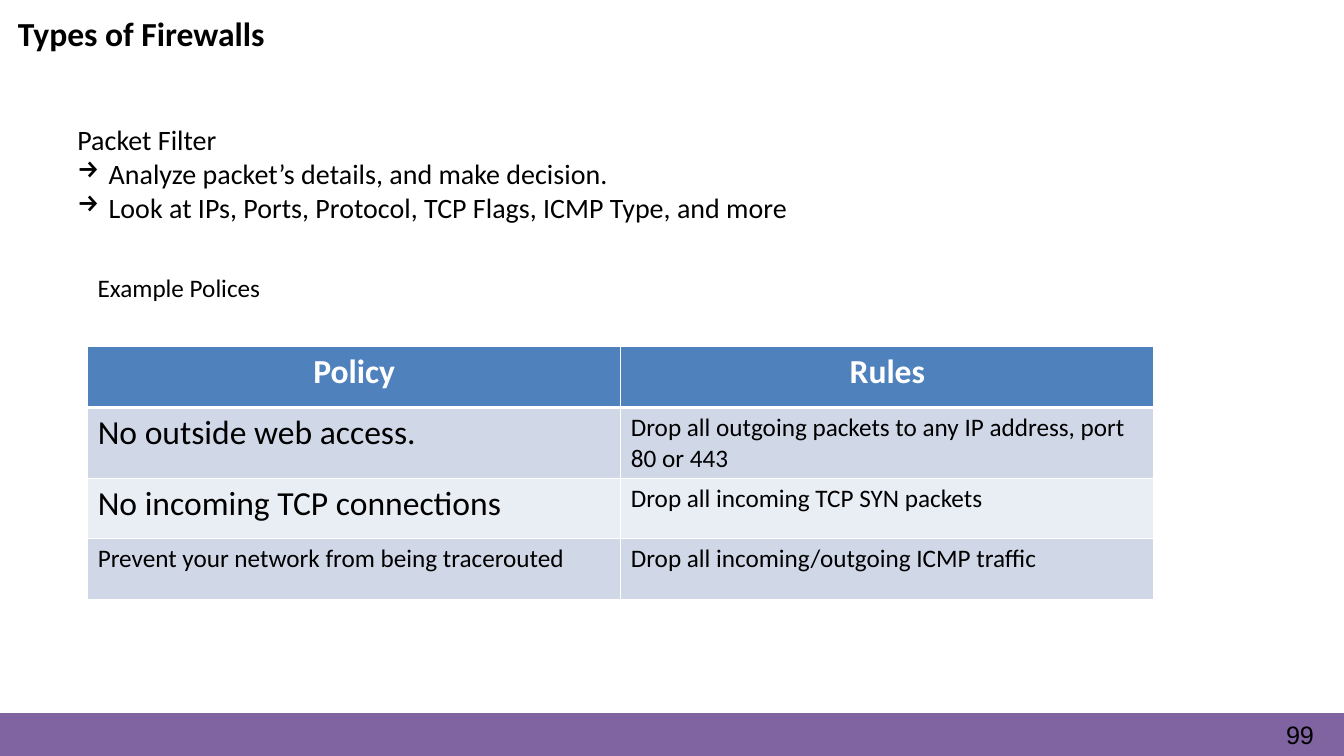
from lxml import etree
from pptx import Presentation
from pptx import util as u
from pptx.dml import color
from pptx.enum import shapes, text
from pptx.oxml import ns

BLACK, WHITE, PURPLE, BLUE = "000000", "FFFFFF", "8063A1", "4F81BD"
BANDS = ["D0D8E8", "E9EDF4"]


def rgb(value):
    return color.RGBColor.from_string(value)


class Deck:
    def __init__(self, width, height, font="Calibri"):
        self.prs = Presentation()
        self.prs.slide_width, self.prs.slide_height = u.Cm(width), u.Cm(height)
        self.font = font
        self.s = self.prs.slides.add_slide(self.prs.slide_layouts[6])

    def run(self, p, words, size, ink=BLACK, bold=False, font=None):
        r = p.add_run()
        r.text = words
        r.font.name = font or self.font
        r.font.size = u.Pt(size)
        r.font.bold = bold
        r.font.color.rgb = rgb(ink)
        return r

    def bar(self, box, fill):
        sp = self.s.shapes.add_shape(shapes.MSO_SHAPE.RECTANGLE, *map(u.Cm, box))
        sp.shadow.inherit = False
        sp.fill.solid()
        sp.fill.fore_color.rgb = rgb(fill)
        sp.line.color.rgb = rgb(fill)
        sp.line.width = u.Pt(1)

    def textbox(self, box):
        tf = self.s.shapes.add_textbox(*map(u.Cm, box)).text_frame
        tf.word_wrap = True
        return tf

    def label(self, box, words, size, bold=False):
        self.run(self.textbox(box).paragraphs[0], words, size, bold=bold)

    def bullet_list(self, box, heading, items, size, mark):
        tf = self.textbox(box)
        self.run(tf.paragraphs[0], heading, size)
        for item in items:
            p = tf.add_paragraph()
            pPr = p._p.get_or_add_pPr()
            pPr.set("marL", str(u.Cm(0.79)))
            pPr.set("indent", str(-u.Cm(0.79)))
            etree.SubElement(pPr, ns.qn("a:buChar"), char=mark)
            self.run(p, item, size)

    def page_number(self, box, number):
        tf = self.textbox(box)
        tf.margin_left = tf.margin_top = tf.margin_right = tf.margin_bottom = 0
        p = tf.paragraphs[0]
        p._p.get_or_add_pPr().set("marL", str(u.Cm(0.46)))
        p.line_spacing = u.Pt(20.9)
        r = self.run(p, number, 18, font="Arial")
        r.font._element.set("spc", "-10")

    def border(self, cell, side, width):
        ln = etree.SubElement(cell._tc.get_or_add_tcPr(), ns.qn("a:ln" + side),
                              w=str(u.Pt(width)))
        fill = etree.SubElement(ln, ns.qn("a:solidFill"))
        etree.SubElement(fill, ns.qn("a:srgbClr"), val=WHITE)

    def table(self, box, heights, rows):
        frame = self.s.shapes.add_table(len(rows), len(rows[0]), *map(u.Cm, box))
        table = frame.table
        for i, row in enumerate(rows):
            table.rows[i].height = u.Cm(heights[i])
            header = i == 0
            for j, (words, size) in enumerate(row):
                cell = table.cell(i, j)
                # The rule under the header is heavier than the others
                for side in "LRTB":
                    heavy = (i, side) in [(0, "B"), (1, "T")]
                    self.border(cell, side, 3 if heavy else 1)
                cell.fill.solid()
                cell.fill.fore_color.rgb = rgb(BLUE if header else BANDS[(i - 1) % 2])
                p = cell.text_frame.paragraphs[0]
                if header:
                    p.alignment = text.PP_ALIGN.CENTER
                self.run(p, words, size, WHITE if header else BLACK, header)


def main():
    deck = Deck(33.87, 19.05)

    # Footer
    deck.bar((0, 17.98, 33.87, 1.07), PURPLE)
    deck.page_number((31.95, 18.16, 1.8, 0.79), "99")

    # Title and explanation
    deck.label((0.2, 0.2, 7.92, 1.27), "Types of Firewalls", 24, bold=True)
    deck.bullet_list((1.7, 2.97, 21.06, 2.82), "Packet Filter", [
        "Analyze packet’s details, and make decision.",
        "Look at IPs, Ports, Protocol, TCP Flags, ICMP Type, and more",
    ], 20, "→")

    # Example policies
    deck.label((2.21, 6.73, 5.26, 1.02), "Example Polices", 18)
    deck.table((2.21, 8.74, 26.87, 6.38), [1.53, 1.77, 1.53, 1.53], [
        [("Policy", 24), ("Rules", 24)],
        [("No outside web access.", 24),
         ("Drop all outgoing packets to any IP address, port 80 or 443", 18)],
        [("No incoming TCP connections", 24),
         ("Drop all incoming TCP SYN packets", 18)],
        [("Prevent your network from being tracerouted", 18),
         ("Drop all incoming/outgoing ICMP traffic", 18)],
    ])

    deck.prs.save("out.pptx")


if __name__ == "__main__":
    main()
